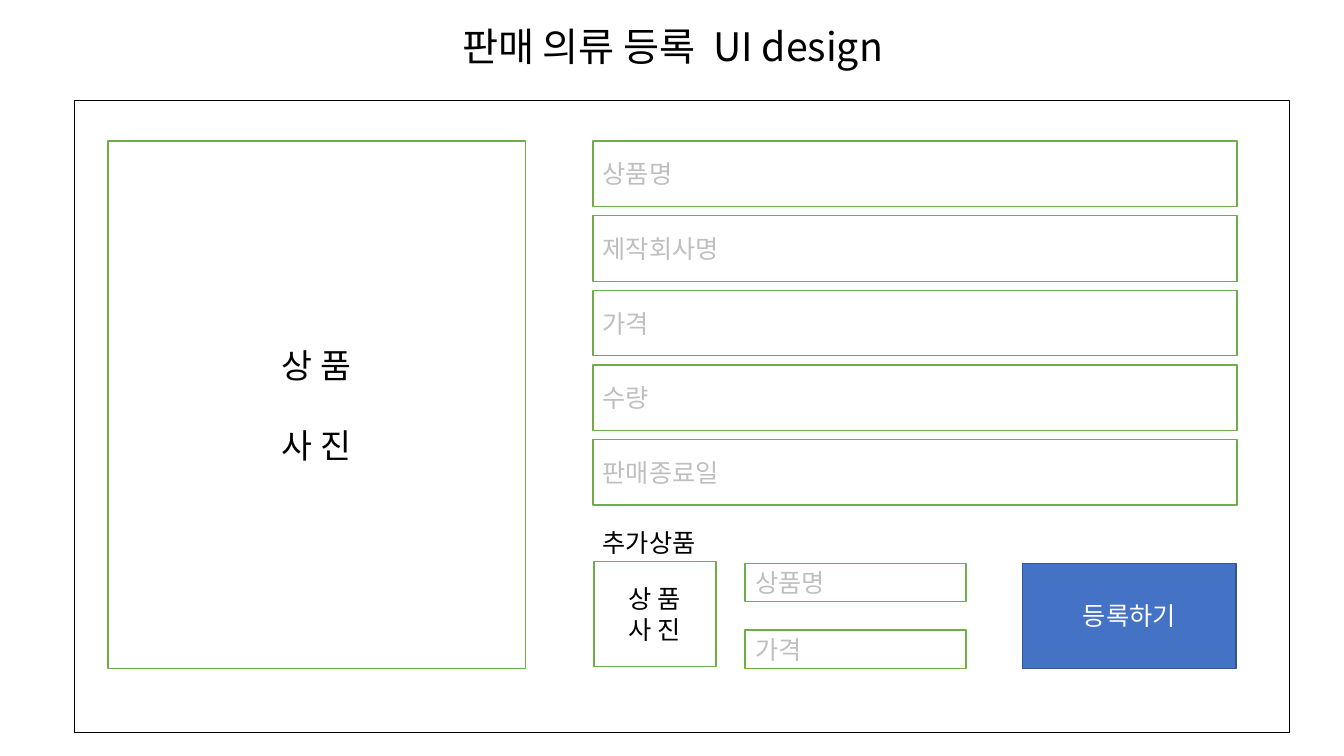
from lxml.etree import SubElement
from pptx import Presentation
from pptx.dml.color import RGBColor
from pptx.enum.shapes import MSO_SHAPE as Shape
from pptx.enum.text import MSO_ANCHOR as Anchor, PP_ALIGN as Align
from pptx.oxml.ns import qn
from pptx.util import Inches, Pt

FONT = "Noto Sans CJK KR"
BLACK = RGBColor(0x00, 0x00, 0x00)
WHITE = RGBColor(0xFF, 0xFF, 0xFF)
GREEN = RGBColor(0x70, 0xAD, 0x47)
HINT_GRAY = RGBColor(0xBF, 0xBF, 0xBF)
BLUE = RGBColor(0x44, 0x72, 0xC4)
DARK_BLUE = RGBColor(0x32, 0x54, 0x91)

# Grid in inches
PHOTO_LEFT, FORM_LEFT, EXTRA_LEFT, BUTTON_LEFT = 1.07, 5.88, 7.39, 10.14
FORM_TOP, EXTRA_TOP = 1.4, 5.59
FIELD_WIDTH, FIELD_HEIGHT, FIELD_PITCH = 6.39, 0.65, 0.74
EXTRA_WIDTH, EXTRA_HEIGHT, EXTRA_PITCH = 2.19, 0.38, 0.66
BLOCK_HEIGHT = EXTRA_PITCH + EXTRA_HEIGHT

FIELDS = ["상품명", "제작회사명", "가격", "수량", "판매종료일"]
EXTRA_FIELDS = ["상품명", "가격"]
PHOTO_LINES = ["상 품", "사 진"]


def add_run(paragraph, text, size, color):
    run = paragraph.add_run()
    run.text = text
    run.font.name = FONT
    run.font.size = Pt(size)
    run.font.color.rgb = color
    SubElement(run.font._element, qn("a:ea")).set("typeface", FONT)
    return run


def add_box(slide, left, top, width, height, line=GREEN, fill=WHITE):
    box = slide.shapes.add_shape(
        Shape.RECTANGLE, Inches(left), Inches(top), Inches(width), Inches(height))
    box.shadow.inherit = False
    box.fill.solid()
    box.fill.fore_color.rgb = fill
    box.line.color.rgb = line
    box.line.width = Pt(1)
    return box


def write_lines(box, lines, size=18, color=BLACK, align=Align.CENTER, gap=0):
    """Fill a box with centred-in-height lines, with gap points between them."""
    frame = box.text_frame
    frame.word_wrap = True
    frame.vertical_anchor = Anchor.MIDDLE
    for index, text in enumerate(lines):
        paragraph = frame.add_paragraph() if index else frame.paragraphs[0]
        paragraph.alignment = align
        paragraph.space_before = Pt(gap if index else 0)
        add_run(paragraph, text, size, color)


def add_fields(slide, hints, left, top, width, height, pitch):
    """Stack input fields, each showing its grey hint."""
    for row, hint in enumerate(hints):
        field = add_box(slide, left, top + row * pitch, width, height)
        write_lines(field, [hint], color=HINT_GRAY, align=Align.LEFT)


def add_text_box(slide, left, top, width, height, wrap):
    box = slide.shapes.add_textbox(
        Inches(left), Inches(top), Inches(width), Inches(height))
    box.text_frame.word_wrap = wrap
    return box.text_frame.paragraphs[0]


def add_title(slide):
    paragraph = add_text_box(slide, 0.92, 0.23, 11.5, 0.54, wrap=True)
    paragraph.alignment = Align.CENTER
    paragraph.line_spacing = 0.9
    paragraph.space_before = Pt(10)
    add_run(paragraph, "판매 의류 등록", 28, BLACK)
    wide_space = add_run(paragraph, " ", 28, BLACK)
    wide_space.font._element.set("spc", "630")
    add_run(paragraph, "UI design", 28, BLACK)


def main():
    presentation = Presentation()
    presentation.slide_width = Inches(13.33)
    presentation.slide_height = Inches(7.5)
    slide = presentation.slides.add_slide(presentation.slide_layouts[6])

    add_title(slide)
    add_box(slide, 0.74, 1, 12.05, 6.27, line=BLACK)

    photo = add_box(slide, PHOTO_LEFT, FORM_TOP, 4.14, 5.23)
    write_lines(photo, PHOTO_LINES, size=24, gap=28.5)
    add_fields(slide, FIELDS, FORM_LEFT, FORM_TOP,
               FIELD_WIDTH, FIELD_HEIGHT, FIELD_PITCH)

    extra_label = add_text_box(slide, FORM_LEFT, 5.18, 1.21, 0.4, wrap=False)
    add_run(extra_label, "추가상품", 18, BLACK)
    extra_photo = add_box(slide, FORM_LEFT + 0.01, EXTRA_TOP - 0.02, 1.21, BLOCK_HEIGHT)
    write_lines(extra_photo, PHOTO_LINES)
    add_fields(slide, EXTRA_FIELDS, EXTRA_LEFT, EXTRA_TOP,
               EXTRA_WIDTH, EXTRA_HEIGHT, EXTRA_PITCH)

    button = add_box(slide, BUTTON_LEFT, EXTRA_TOP, 2.12, BLOCK_HEIGHT,
                     line=DARK_BLUE, fill=BLUE)
    write_lines(button, ["등록하기"], color=WHITE)

    presentation.save("out.pptx")


if __name__ == "__main__":
    main()
